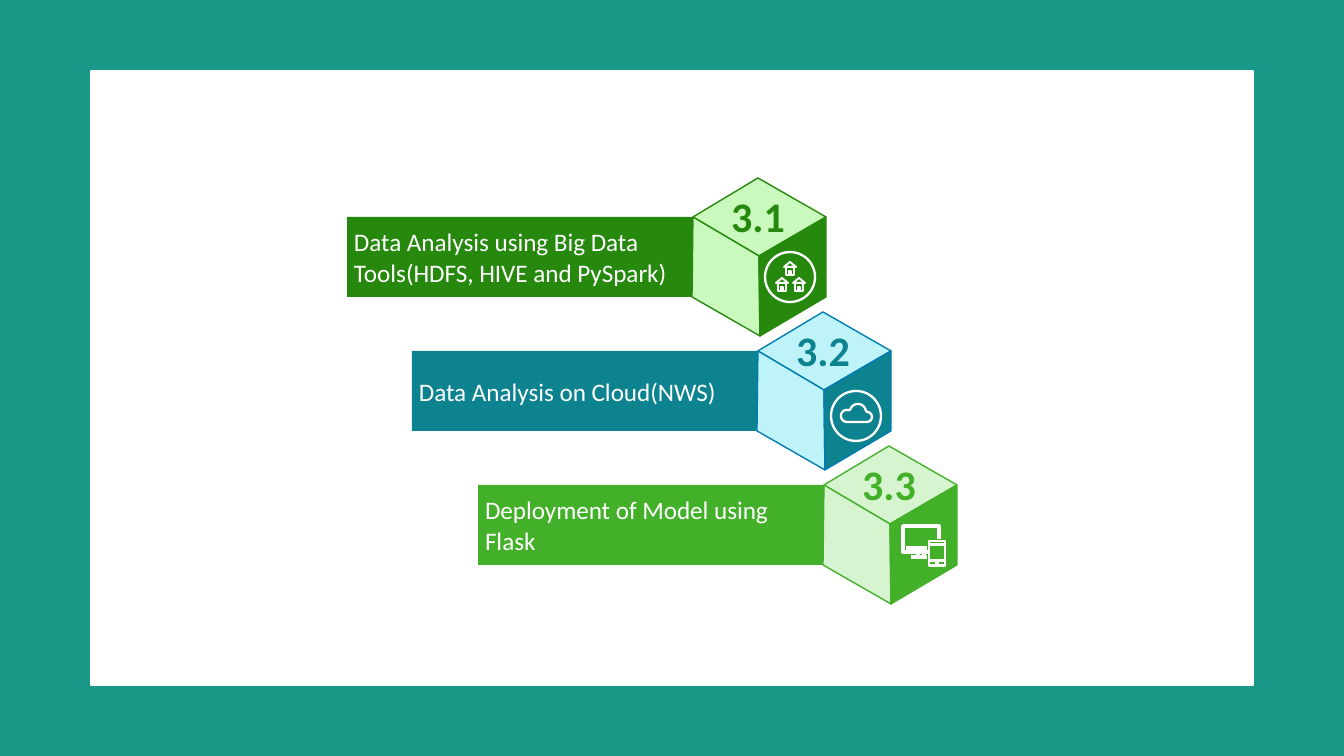
from math import cos, radians, sin

from pptx import Presentation
from pptx.dml.color import RGBColor
from pptx.enum.shapes import MSO_SHAPE
from pptx.enum.text import MSO_ANCHOR, MSO_AUTO_SIZE, PP_ALIGN
from pptx.util import Pt

PX = 914400 / 134.4

WHITE = RGBColor(0xFF, 0xFF, 0xFF)
TEAL = RGBColor(0x1A, 0x99, 0x88)
DARK_GREEN = RGBColor(0x26, 0x89, 0x0D)
PALE_GREEN = RGBColor(0xC9, 0xF9, 0xBD)
PETROL = RGBColor(0x0D, 0x83, 0x90)
PALE_BLUE = RGBColor(0xBE, 0xF3, 0xF9)
BLUE = RGBColor(0x00, 0x7C, 0xB0)
GREEN = RGBColor(0x43, 0xB0, 0x2A)
PALE_LIME = RGBColor(0xD7, 0xF4, 0xD0)

prs = Presentation()
prs.slide_width = round(1344 * PX)
prs.slide_height = round(756 * PX)
slide = prs.slides.add_slide(prs.slide_layouts[6])


def add_preset(kind, box, fill=None, line=None, width=0.75):
    shape = slide.shapes.add_shape(kind, *(round(v * PX) for v in box))
    paint(shape, fill, line, width)
    return shape


def paint(shape, fill, line, width):
    shape.shadow.inherit = False
    if fill is None:
        shape.fill.background()
    else:
        shape.fill.solid()
        shape.fill.fore_color.rgb = fill
    if line is None:
        shape.line.fill.background()
    else:
        shape.line.color.rgb = line
        shape.line.width = Pt(width)


def add_outline(origin, contours, fill=None, line=WHITE, width=0.75, closed=True):
    """Draw contours, given in px from the origin, as one freeform."""
    builder = None
    for contour in contours:
        start, *rest = [(round((origin[0] + x) * PX), round((origin[1] + y) * PX))
                        for x, y in contour]
        if builder is None:
            builder = slide.shapes.build_freeform(*start, scale=1.0)
        else:
            builder.move_to(*start)
        builder.add_line_segments(rest, close=closed)
    paint(builder.convert_to_shape(), fill, line, width)


# Frame
add_preset(MSO_SHAPE.RECTANGLE, (0, 0, 1344, 756), TEAL)
add_preset(MSO_SHAPE.RECTANGLE, (91, 71, 1162, 614), WHITE, WHITE)

# Steps: number, label, top corner of the cube, main, pale and edge colours
steps = [
    ("3.1", "Data Analysis using Big Data Tools(HDFS, HIVE and PySpark)",
     (758, 178), DARK_GREEN, PALE_GREEN, DARK_GREEN),
    ("3.2", "Data Analysis on Cloud(NWS)",
     (823, 312), PETROL, PALE_BLUE, BLUE),
    ("3.3", "Deployment of Model using Flask",
     (889, 446), GREEN, PALE_LIME, GREEN),
]
top_face = [(0, 0), (68, 39), (1, 78), (-65, 39)]
left_face = [(-65, 39), (1, 78), (2, 158), (-66, 119)]
right_face = [(1, 78), (68, 39), (68, 119), (2, 158)]

for number, label, apex, main, pale, edge in steps:
    x, y = apex
    bar = add_preset(MSO_SHAPE.RECTANGLE, (x - 411, y + 39, 346, 80), main)
    add_outline(apex, [top_face], pale, edge)
    add_outline(apex, [left_face], pale, edge)
    add_outline(apex, [right_face], main, edge)
    number_box = slide.shapes.add_textbox(
        *(round(v * PX) for v in (x - 32, y + 10, 64, 56)))

    for box, text, inset, size, color, bold, align in [
        (bar, label, 7, 13.5, WHITE, False, PP_ALIGN.LEFT),
        (number_box, number, 3, 22.5, main, True, PP_ALIGN.CENTER),
    ]:
        frame = box.text_frame
        frame.word_wrap = True
        frame.margin_left = frame.margin_right = round(inset * PX)
        frame.margin_top = frame.margin_bottom = round(inset * PX)
        paragraph = frame.paragraphs[0]
        paragraph.text = text
        paragraph.alignment = align
        paragraph.font.name = "Calibri"
        paragraph.font.size = Pt(size)
        paragraph.font.bold = bold
        paragraph.font.color.rgb = color
    bar.text_frame.vertical_anchor = MSO_ANCHOR.MIDDLE
    bar.text_frame.paragraphs[0].space_after = Pt(3.4)
    number_box.text_frame.auto_size = MSO_AUTO_SIZE.SHAPE_TO_FIT_TEXT

# Rings around the first two icons
for left, top in [(765, 252), (831, 391)]:
    add_preset(MSO_SHAPE.OVAL, (left, top, 50, 50), line=WHITE, width=1.25)

# Three houses
roof = [(0, 0), (6, 5), (-6, 5)]
walls = [(-4, 5), (4, 5), (4, 13), (-4, 13)]
door = [(-1, 9), (1, 9), (1, 13), (-1, 13)]
for peak in [(790, 262), (782, 278), (799, 278)]:
    add_outline(peak, [roof, walls, door], width=1)

# Cloud: centre, radius, first and last angle of each lobe
lobes = [(-9, 1, 6, 90, 290), (2, -3, 8, 200, 350), (11, 2, 5, 270, 450)]
cloud = [(cx + r * cos(radians(a)), cy + r * sin(radians(a)))
         for cx, cy, r, first, last in lobes
         for a in range(first, last + 1, 10)]
add_outline((856, 415), [cloud], width=1.25)

# Monitor and phone
monitor = [(26, 26), (0, 26), (0, 0), (36, 0), (36, 13)]
screen_edge = [(3, 22), (24, 22)]
stand = [(15, 27), (15, 31), (21, 31), (21, 27)]
foot = [(8, 31), (24, 31)]
add_outline((903, 526), [monitor, screen_edge, stand, foot], width=1.75, closed=False)
phone = [(0, 0), (16, 0), (16, 25), (0, 25), (0, 0)]
speaker_edge = [(0, 4), (16, 4)]
button_edge = [(0, 20), (16, 20)]
button = [(6, 23), (10, 23)]
add_outline((929, 541), [phone, speaker_edge, button_edge, button], width=1.5, closed=False)

prs.save("out.pptx")
